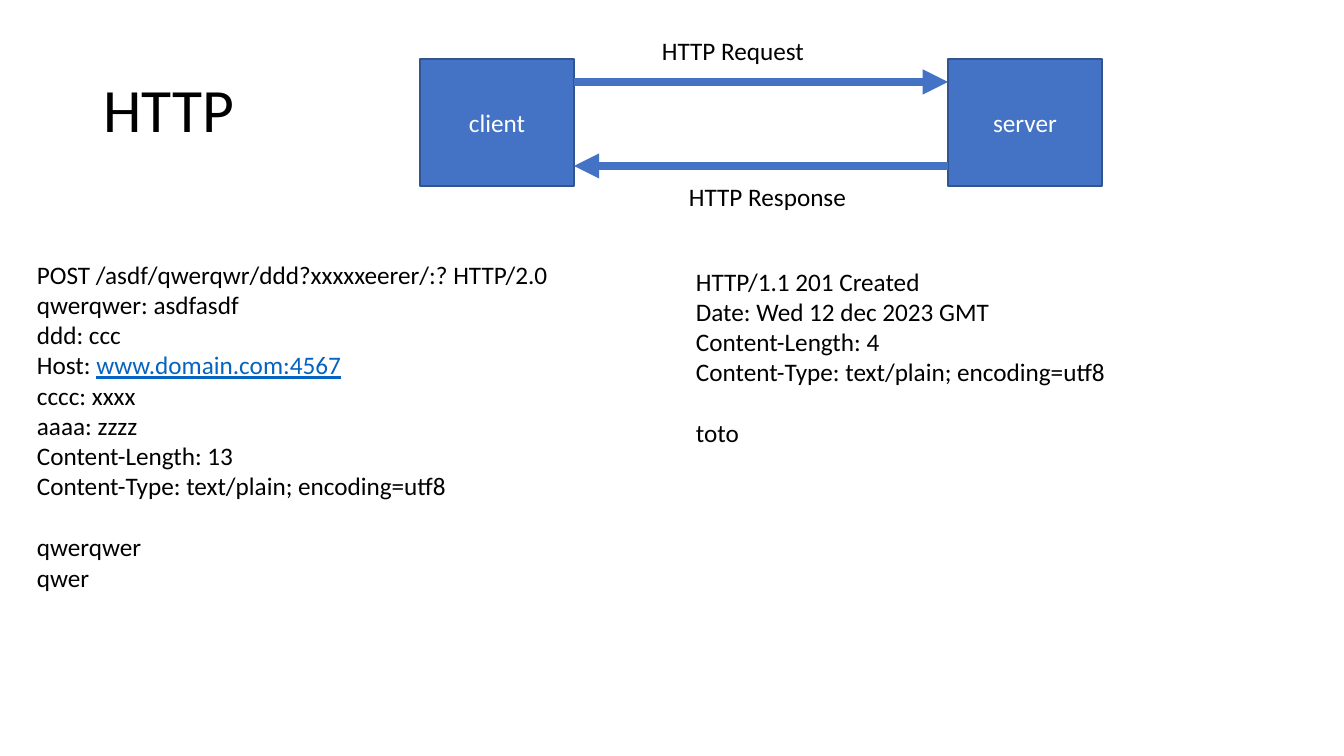
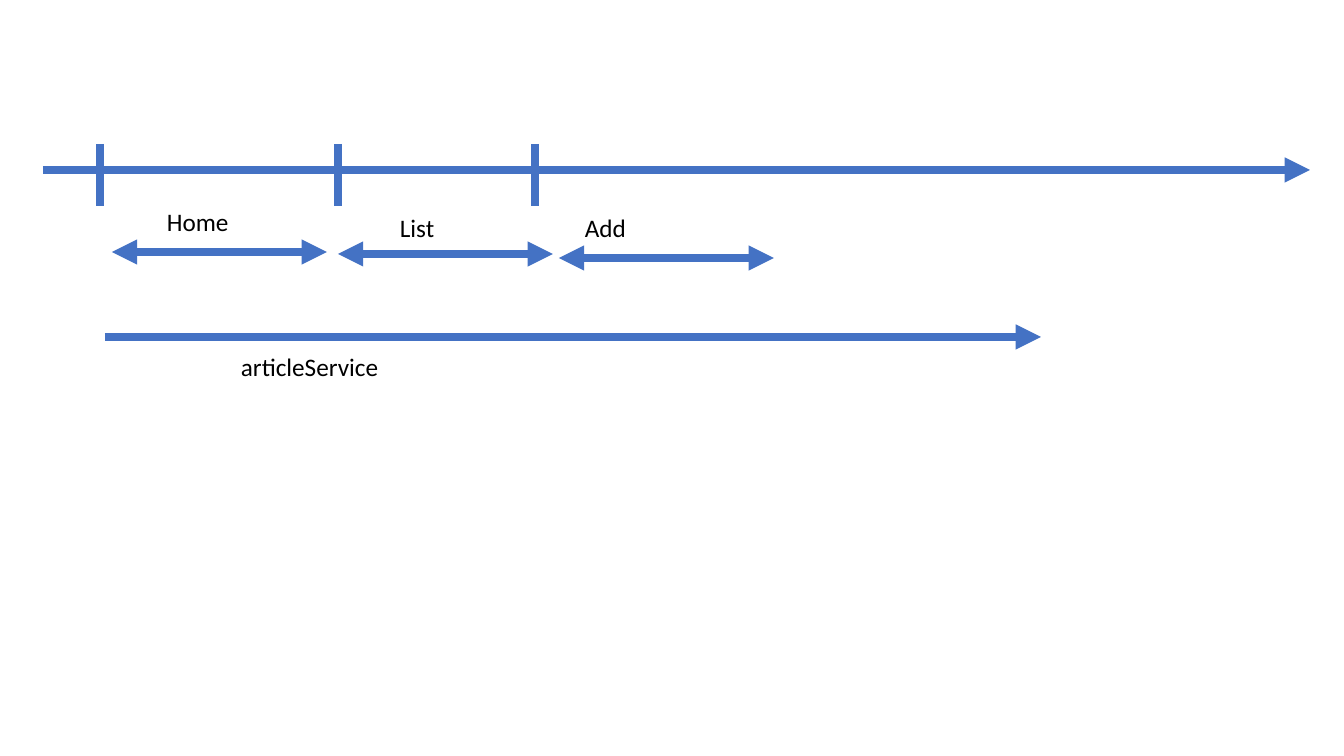
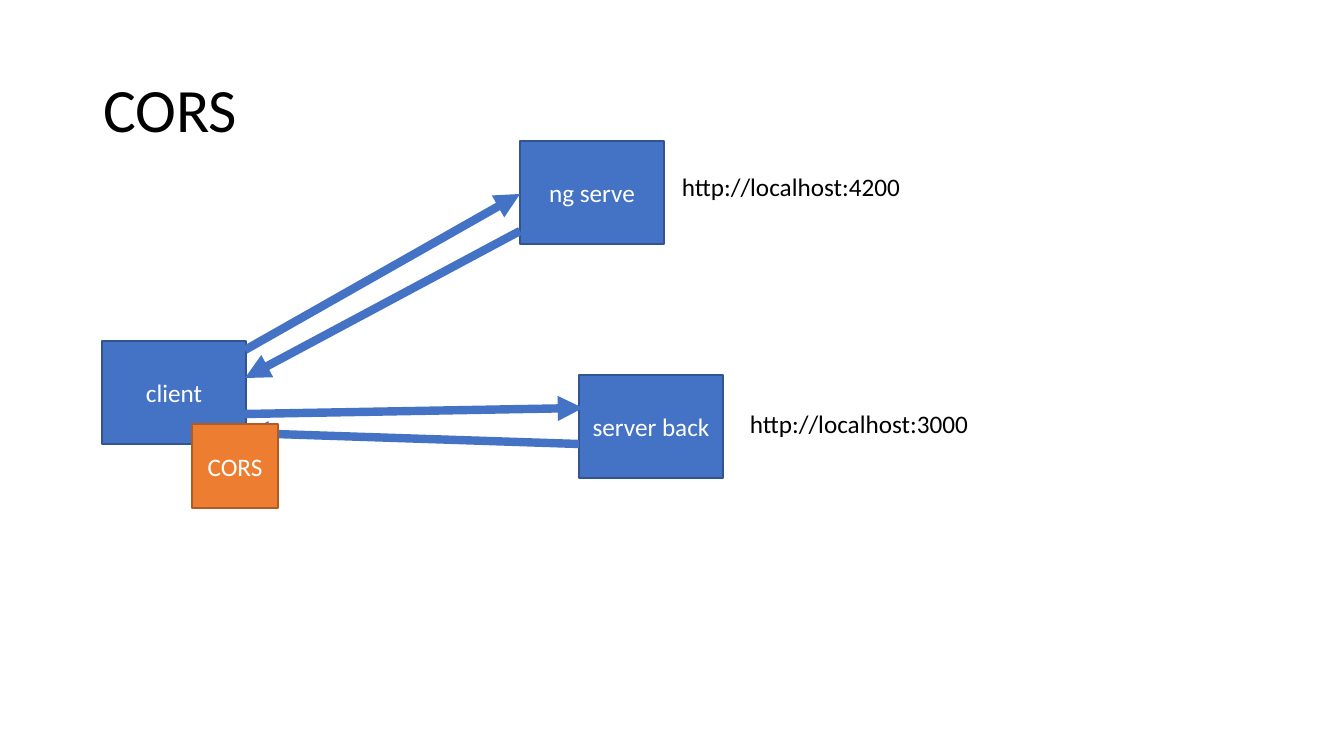
from dataclasses import dataclass

from lxml.etree import SubElement
from pptx import Presentation
from pptx.dml.color import RGBColor
from pptx.enum.shapes import MSO_CONNECTOR as Connector, MSO_SHAPE as Preset
from pptx.enum.text import MSO_ANCHOR as Anchor, MSO_AUTO_SIZE as AutoSize, PP_ALIGN as Align
from pptx.oxml.ns import qn
from pptx.util import Pt

EMU_PER_PIXEL = 12192000 / 1344
TITLE_ONLY, BLANK = 5, 6


@dataclass(frozen=True)
class Theme:
    """Colours, font and sizes shared by all slides."""
    font: str = "Calibri"
    title_size: int = Pt(44)
    text_size: int = Pt(18)
    blank_line: int = Pt(22)
    arrow_width: int = Pt(6)
    outline_width: int = Pt(1)
    ink: RGBColor = RGBColor(0x00, 0x00, 0x00)
    white: RGBColor = RGBColor(0xFF, 0xFF, 0xFF)
    link: RGBColor = RGBColor(0x05, 0x63, 0xC1)
    blue: RGBColor = RGBColor(0x44, 0x72, 0xC4)
    blue_edge: RGBColor = RGBColor(0x32, 0x54, 0x91)
    orange: RGBColor = RGBColor(0xED, 0x7D, 0x31)
    orange_edge: RGBColor = RGBColor(0xAF, 0x5C, 0x24)


@dataclass(frozen=True)
class Line:
    """One line of a message, with an underlined address or a gap above."""
    text: str
    address: str = ""
    gap: bool = False


THEME = Theme()

REQUEST = [
    Line("POST /asdf/qwerqwr/ddd?xxxxxeerer/:? HTTP/2.0"),
    Line("qwerqwer: asdfasdf"),
    Line("ddd: ccc"),
    Line("Host: ", address="www.domain.com:4567"),
    Line("cccc: xxxx"),
    Line("aaaa: zzzz"),
    Line("Content-Length: 13"),
    Line("Content-Type: text/plain; encoding=utf8"),
    Line("qwerqwer", gap=True),
    Line("qwer"),
]
RESPONSE = [
    Line("HTTP/1.1 201 Created"),
    Line("Date: Wed 12 dec 2023 GMT"),
    Line("Content-Length: 4"),
    Line("Content-Type: text/plain; encoding=utf8"),
    Line("toto", gap=True),
]


def px(*lengths):
    """Turn picture pixels into EMU."""
    return [round(length * EMU_PER_PIXEL) for length in lengths]


def assign(target, values):
    """Set each named attribute of the target."""
    for name, value in values.items():
        setattr(target, name, value)


def add_run(paragraph, text, color, size=THEME.text_size, **extra):
    """Append formatted text to a paragraph."""
    run = paragraph.add_run()
    run.text = text
    assign(run.font, {"name": THEME.font, "size": size, **extra})
    run.font.color.rgb = color


def add_title(slide, text, width):
    """Place and format the title placeholder."""
    title = slide.shapes.title
    left, top, wide, high = px(93, 40, width, 146)
    assign(title, {"left": left, "top": top, "width": wide, "height": high})
    assign(title.text_frame, {"vertical_anchor": Anchor.MIDDLE, "auto_size": AutoSize.NONE})
    heading = title.text_frame.paragraphs[0]
    assign(heading, {"alignment": Align.LEFT, "line_spacing": 0.9})
    add_run(heading, text, THEME.ink, THEME.title_size)


def add_box(slide, text, at, fill=THEME.blue, edge=THEME.blue_edge):
    """Draw a filled rectangle with a centred caption."""
    box = slide.shapes.add_shape(Preset.RECTANGLE, *px(*at))
    box.shadow.inherit = False
    box.fill.solid()
    box.fill.fore_color.rgb = fill
    box.line.color.rgb = edge
    box.line.width = THEME.outline_width
    assign(box.text_frame, {"vertical_anchor": Anchor.MIDDLE, "word_wrap": True})
    caption = box.text_frame.paragraphs[0]
    caption.alignment = Align.CENTER
    add_run(caption, text, THEME.white)


def add_message(slide, lines, at):
    """Write lines of text in an unwrapped text box."""
    frame = slide.shapes.add_textbox(*px(*at)).text_frame
    assign(frame, {"word_wrap": False, "auto_size": AutoSize.SHAPE_TO_FIT_TEXT})
    for index, line in enumerate(lines):
        paragraph = frame.add_paragraph() if index else frame.paragraphs[0]
        if line.gap:
            paragraph.space_before = THEME.blank_line
        add_run(paragraph, line.text, THEME.ink)
        if line.address:
            add_run(paragraph, line.address, THEME.link, underline=True)


def add_label(slide, text, left, top, width):
    """Write a one-line label."""
    add_message(slide, [Line(text)], (left, top, width, 40))


def add_line(slide, start, end, ends=("tailEnd",)):
    """Draw a thick line with arrowheads at the named ends."""
    line = slide.shapes.add_connector(Connector.STRAIGHT, *px(*start, *end))
    line.line.color.rgb = THEME.blue
    line.line.width = THEME.arrow_width
    for end_name in ends:
        SubElement(line.get_or_add_ln(), qn(f"a:{end_name}"), type="triangle")
    SubElement(line.element.spPr, qn("a:effectLst"))


def build_http(slide):
    """Show an HTTP exchange between client and server."""
    add_title(slide, "HTTP", 197)
    client_right, server_left = 574, 948
    for name, left in (("client", 420), ("server", server_left)):
        add_box(slide, name, (left, 59, 154, 127))
    add_line(slide, (client_right, 82), (server_left, 82))
    add_line(slide, (server_left, 166), (client_right, 166))
    add_label(slide, "HTTP Request", 652, 30, 164)
    add_label(slide, "HTTP Response", 679, 176, 179)
    add_message(slide, REQUEST, (27, 254, 536, 346))
    add_message(slide, RESPONSE, (686, 261, 436, 194))


def build_timeline(slide):
    """Show page lifetimes against the service lifetime."""
    add_line(slide, (43, 170), (1310, 170))
    for tick in (100, 338, 535):
        add_line(slide, (tick, 144), (tick, 206), ends=())
    pages = (
        ("Home", (157, 201, 83), (112, 252)),
        ("List", (390, 207, 55), (338, 254)),
        ("Add", (575, 207, 61), (559, 258)),
    )
    for page, label_at, (left, level) in pages:
        add_label(slide, page, *label_at)
        add_line(slide, (left, level), (left + 215, level), ends=("headEnd", "tailEnd"))
    add_line(slide, (105, 337), (1041, 337))
    add_label(slide, "articleService", 231, 346, 159)


def build_cors(slide):
    """Show a client calling two origins, guarded by CORS."""
    add_title(slide, "CORS", 1159)
    hosts = (("client", 102, 341), ("ng serve", 520, 141), ("server back", 579, 375))
    for name, left, top in hosts:
        add_box(slide, name, (left, top, 144, 103))
    add_label(slide, "http://localhost:4200", 672, 166, 242)
    add_label(slide, "http://localhost:3000", 740, 403, 242)
    calls = (
        ((245, 350), (520, 194)),
        ((520, 231), (245, 378)),
        ((245, 414), (583, 408)),
        ((579, 444), (243, 433)),
    )
    for start, end in calls:
        add_line(slide, start, end)
    add_box(slide, "CORS", (192, 424, 86, 84), THEME.orange, THEME.orange_edge)


def main():
    """Build and save the presentation."""
    deck = Presentation()
    deck.slide_width, deck.slide_height = px(1344, 756)
    for layout, build in ((TITLE_ONLY, build_http), (BLANK, build_timeline), (TITLE_ONLY, build_cors)):
        build(deck.slides.add_slide(deck.slide_layouts[layout]))
    deck.save("out.pptx")


main()
